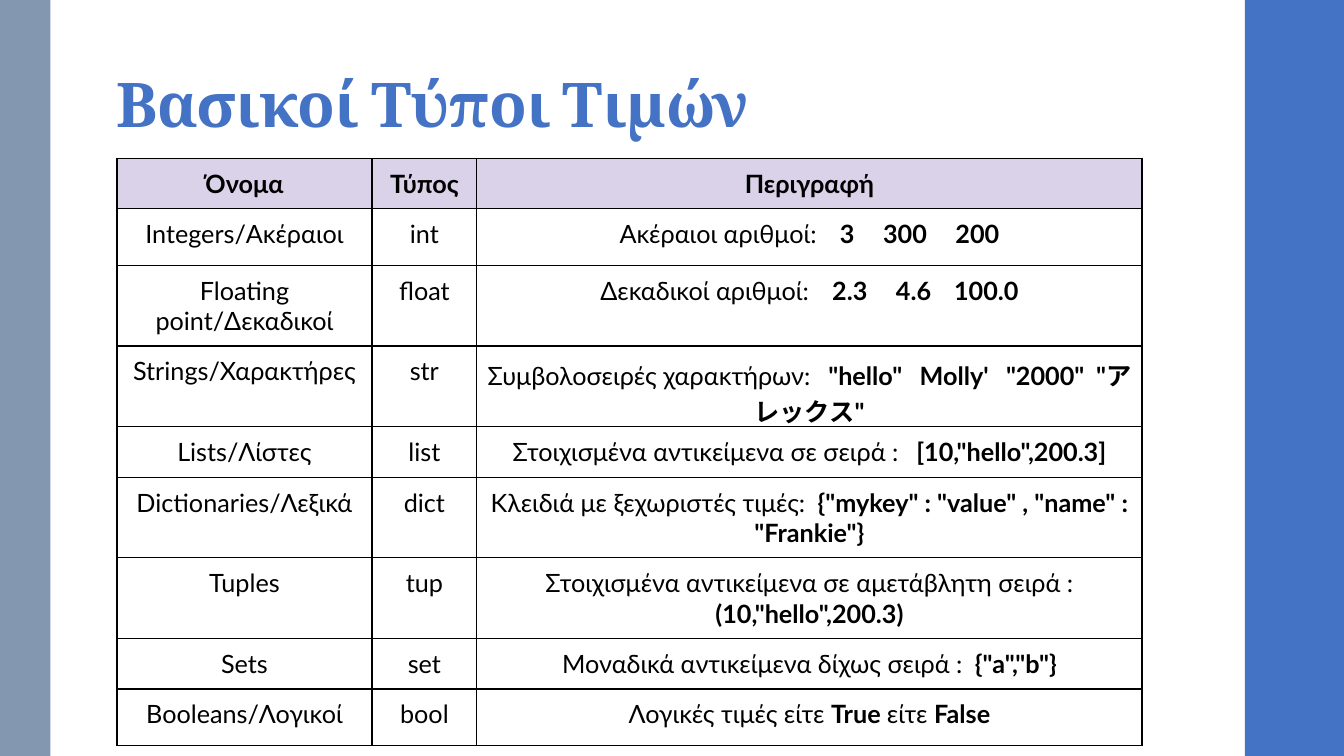
from dataclasses import dataclass

from lxml import etree
from pptx import Presentation
from pptx.dml.color import RGBColor
from pptx.enum.shapes import MSO_SHAPE
from pptx.enum.text import MSO_ANCHOR, PP_ALIGN
from pptx.oxml.ns import qn
from pptx.util import Emu, Inches, Pt

RECTANGLE = MSO_SHAPE.RECTANGLE
BOTTOM = MSO_ANCHOR.BOTTOM
CENTER = PP_ALIGN.CENTER

WIDTH, HEIGHT = Inches(13.33), Inches(7.5)
BLUE, SLATE, LILAC, BLACK = "4472C4", "8497B0", "D9D2E9", "000000"
HEADING_FONT, BODY_FONT = "Cambria", "Lato"
SPACE_POINTS = 4
COLUMN_SHARES = (18.98, 7.8, 49.5)
SHORT, MEDIUM, TALL = 6, 7.5, 9.6


@dataclass
class Band:
    left: float
    width: float
    color: str


@dataclass
class Span:
    """A piece of text; gap is the width, in spaces, left after it."""
    text: str
    bold: bool = False
    gap: int = 0
    font: str = BODY_FONT


@dataclass
class TypeRow:
    name: str
    code: str
    description: list[Span]
    height: float


BANDS = [Band(92.63, 7.5, BLUE), Band(0, 3.75, SLATE)]
HEADERS = ("Όνομα", "Τύπος", "Περιγραφή")
TYPE_ROWS = [
    TypeRow("Integers/Ακέραιοι", "int", [
        Span("Ακέραιοι αριθμοί:", gap=4), Span("3", True, 5),
        Span("300", True, 5), Span("200", True)], MEDIUM),
    TypeRow("Floating point/Δεκαδικοί", "float", [
        Span("Δεκαδικοί αριθμοί:", gap=4), Span("2.3", True, 5),
        Span("4.6", True, 4), Span("100.0", True)], TALL),
    TypeRow("Strings/Χαρακτήρες", "str", [
        Span("Συμβολοσειρές χαρακτήρων:", gap=3), Span('"hello"', True, 3),
        Span("Molly'", True, 3), Span('"2000"', True, 2), Span('"', True),
        Span("アレックス", True, font=HEADING_FONT), Span('"', True)], TALL),
    TypeRow("Lists/Λίστες", "list", [
        Span("Στοιχισμένα αντικείμενα σε σειρά :", gap=3),
        Span('[10,"hello",200.3]', True)], SHORT),
    TypeRow("Dictionaries/Λεξικά", "dict", [
        Span("Κλειδιά με ξεχωριστές τιμές:", gap=2),
        Span('{"mykey" : "value" , "name" : "Frankie"}', True)], TALL),
    TypeRow("Tuples", "tup", [
        Span("Στοιχισμένα αντικείμενα σε αμετάβλητη σειρά : "),
        Span('(10,"hello",200.3)', True)], TALL),
    TypeRow("Sets", "set", [
        Span("Μοναδικά αντικείμενα δίχως σειρά :", gap=2),
        Span('{"a","b"}', True)], SHORT),
    TypeRow("Booleans/Λογικοί", "bool", [
        Span("Λογικές τιμές είτε "), Span("True ", True),
        Span("είτε "), Span("False", True)], MEDIUM),
]


def across(percent: float) -> Emu:
    return Emu(round(WIDTH * percent / 100))


def down(percent: float) -> Emu:
    return Emu(round(HEIGHT * percent / 100))


def rgb(color: str) -> RGBColor:
    return RGBColor.from_string(color)


def format_run(run, font: str, size: float, color: str, bold: bool) -> None:
    run.font.name = font
    run.font.size = Pt(size)
    run.font.color.rgb = rgb(color)
    run.font.bold = bold


def space_letters(run, points: float) -> None:
    run._r.get_or_add_rPr().set("spc", str(round(points * 100)))


def add_band(page, band: Band) -> None:
    shape = page.shapes.add_shape(
        RECTANGLE, across(band.left), 0, across(band.width), HEIGHT)
    shape.shadow.inherit = False
    shape.fill.solid()
    shape.fill.fore_color.rgb = rgb(band.color)
    shape.line.fill.background()


def add_title(page, text: str) -> None:
    box = page.shapes.add_textbox(
        across(7.95), down(-1.07), across(79.5), down(20.4))
    frame = box.text_frame
    frame.word_wrap = True
    frame.vertical_anchor = BOTTOM
    frame.margin_top = Inches(0.03)
    frame.text = text
    para = frame.paragraphs[0]
    para.line_spacing = 0.9
    format_run(para.runs[0], HEADING_FONT, 44, BLUE, True)
    space_letters(para.runs[0], -0.5)


def add_borders(cell) -> None:
    properties = cell._tc.get_or_add_tcPr()
    for index, side in enumerate(("lnL", "lnR", "lnT", "lnB")):
        line = etree.Element(qn(f"a:{side}"), w=str(Pt(1)))
        fill = etree.SubElement(line, qn("a:solidFill"))
        etree.SubElement(fill, qn("a:srgbClr"), val=BLACK)
        properties.insert(index, line)


def fill_cell(cell, spans: list[Span], color: str = "") -> None:
    cell.margin_left = cell.margin_right = Inches(0.1)
    cell.margin_top = cell.margin_bottom = Inches(0.1)
    if color:
        cell.fill.solid()
        cell.fill.fore_color.rgb = rgb(color)
    else:
        cell.fill.background()
    add_borders(cell)
    para = cell.text_frame.paragraphs[0]
    para.alignment = CENTER
    for span in spans:
        run = para.add_run()
        run.text = span.text
        format_run(run, span.font, 18, BLACK, span.bold)
        if span.gap:
            space = para.add_run()
            space.text = " "
            format_run(space, span.font, 18, BLACK, span.bold)
            space_letters(space, (span.gap - 1) * SPACE_POINTS)


def add_type_table(page) -> None:
    heights = [SHORT] + [row.height for row in TYPE_ROWS]
    table = page.shapes.add_table(
        len(heights), len(COLUMN_SHARES), across(8.7), down(20.93),
        across(sum(COLUMN_SHARES)), down(sum(heights))).table
    table.first_row = table.horz_banding = False
    for column, share in zip(table.columns, COLUMN_SHARES):
        column.width = across(share)
    for row, height in zip(table.rows, heights):
        row.height = down(height)
    for cell, header in zip(table.rows[0].cells, HEADERS):
        fill_cell(cell, [Span(header, True)], LILAC)
    for index, entry in enumerate(TYPE_ROWS, start=1):
        contents = ([Span(entry.name)], [Span(entry.code)], entry.description)
        for cell, spans in zip(table.rows[index].cells, contents):
            fill_cell(cell, spans)


def main() -> None:
    deck = Presentation()
    deck.slide_width, deck.slide_height = WIDTH, HEIGHT
    page = deck.slides.add_slide(deck.slide_layouts[6])
    for band in BANDS:
        add_band(page, band)
    add_title(page, "Βασικοί Τύποι Τιμών")
    add_type_table(page)
    deck.save("out.pptx")


if __name__ == "__main__":
    main()
